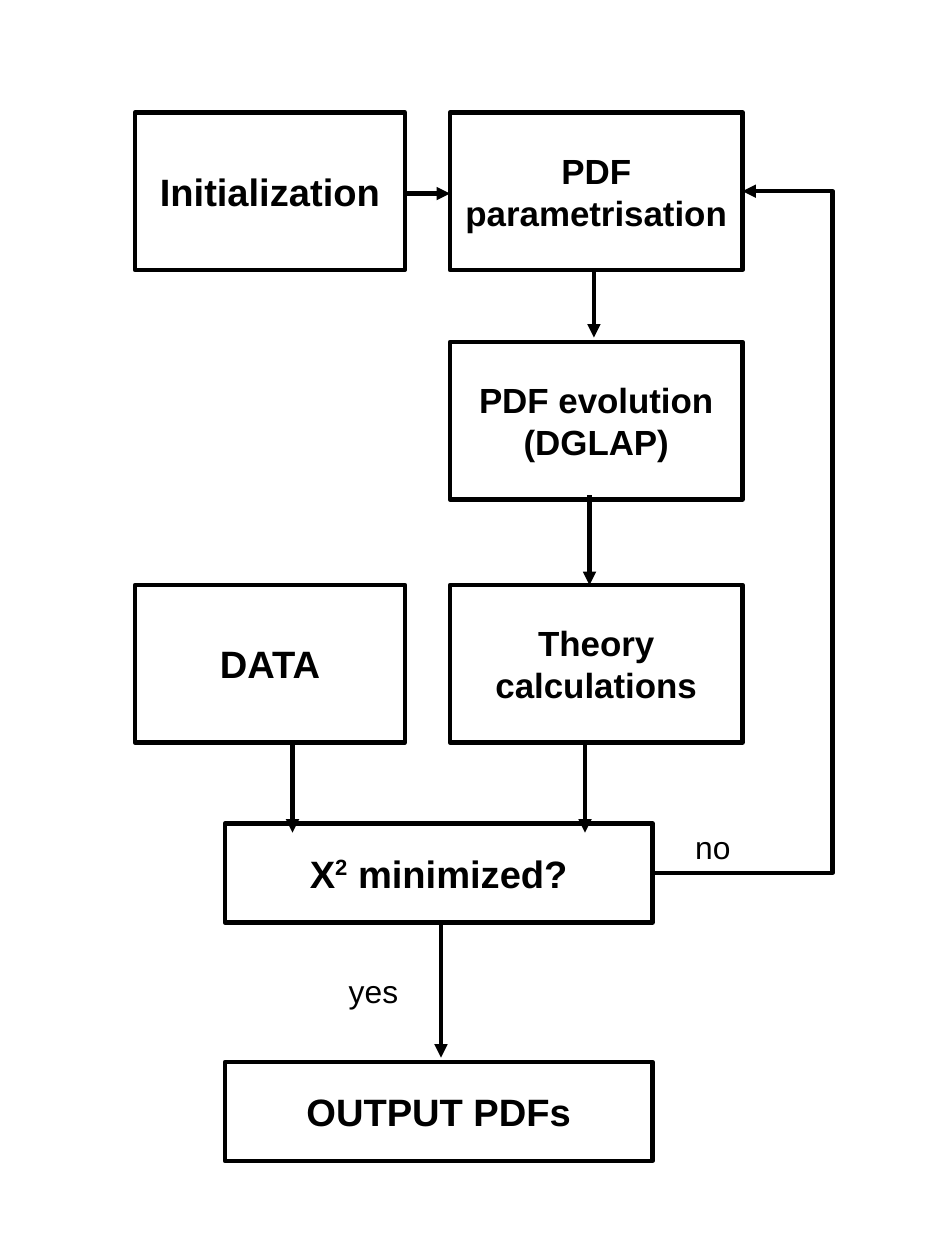
import pptx
import pptx.chart.data
import pptx.dml.color
import pptx.enum.shapes
import pptx.enum.text
import pptx.oxml
import pptx.oxml.ns
import pptx.util

Cm = pptx.util.Cm
Pt = pptx.util.Pt
INK = "000000"


def paint(color, code):
    color.rgb = pptx.dml.color.RGBColor.from_string(code)


def draw(shape, *marks):
    """Give a shape or connector its black line, then the line's extra marks."""
    shape.line.width = Pt(2.83)
    shape.line.fill.solid()
    paint(shape.line.fill.fore_color, INK)
    line = shape.line._get_or_add_ln()
    for mark in ("round", *marks):
        pptx.oxml.ns.qn("a:" + mark)
        node = line.makeelement(pptx.oxml.ns.qn("a:" + mark), {})
        if mark == "tailEnd":
            node.set("type", "triangle")
        line.append(node)


deck = pptx.Presentation()
deck.slide_width, deck.slide_height = Cm(21), Cm(28)
slide = deck.slides.add_slide(deck.slide_layouts[6])
shapes = slide.shapes

# Boxes: left, top, width, height, size, text
boxes = [
    (10, 2.5, 6.5, 3.5, 22, "PDF\nparametrisation"),
    (10, 7.6, 6.5, 3.5, 22, "PDF evolution\n(DGLAP)"),
    (10, 13, 6.5, 3.5, 22, "Theory\ncalculations"),
    (3, 2.5, 6, 3.5, 24, "Initialization"),
    (3, 13, 6, 3.5, 24, "DATA"),
    (5, 18.3, 9.5, 2.2, 24, "Χ|2| minimized?"),
    (5, 23.6, 9.5, 2.2, 24, "OUTPUT PDFs"),
]
for left, top, width, height, size, text in boxes:
    box = shapes.add_shape(
        pptx.enum.shapes.MSO_SHAPE.RECTANGLE,
        Cm(left), Cm(top), Cm(width), Cm(height))
    box.shadow.inherit = False
    box.fill.background()
    draw(box)
    frame = box.text_frame
    frame.word_wrap = False
    frame.vertical_anchor = pptx.enum.text.MSO_ANCHOR.MIDDLE
    frame.margin_left = frame.margin_right = Cm(0.3)
    frame.margin_top = frame.margin_bottom = Cm(0.18)
    base, *parts = text.split("|")
    frame.text = base
    for part in parts:
        frame.paragraphs[0].add_run().text = part
    for para in frame.paragraphs:
        para.alignment = pptx.enum.text.PP_ALIGN.CENTER
        for run in para.runs:
            run.font.name = "Arial"
            run.font.size = Pt(size)
            run.font.bold = True
            paint(run.font.color, INK)
            if run.text == "2":
                run.font._element.set("baseline", "33000")

# Arrows: start x, y, end x, y; the last one loops back
arrows = [
    (9, 4.3, 10, 4.3),
    (13.2, 6, 13.2, 7.5),
    (13.1, 11, 13.1, 13),
    (13, 16.5, 13, 18.5),
    (6.5, 16.5, 6.5, 18.5),
    (9.8, 20.5, 9.8, 23.5),
    (14.5, 19.4, 16.5, 4.25),
]
kinds = pptx.enum.shapes.MSO_CONNECTOR
for ends in arrows:
    loop = ends == arrows[-1]
    arrow = shapes.add_connector(
        kinds.ELBOW if loop else kinds.STRAIGHT, *map(Cm, ends))
    draw(arrow, "tailEnd")
    props = arrow._element.spPr
    props.append(props.makeelement(pptx.oxml.ns.qn("a:effectLst"), {}))
    if loop:
        guides = props.find(".//" + pptx.oxml.ns.qn("a:avLst"))
        guides.append(guides.makeelement(
            pptx.oxml.ns.qn("a:gd"), {"name": "adj1", "fmla": "val 200000"}))

# Branch labels
for left, top, width, text in [(7.5, 21.5, 2, "yes"), (15.2, 18.3, 1.5, "no")]:
    label = shapes.add_textbox(Cm(left), Cm(top), Cm(width), Cm(1.05))
    frame = label.text_frame
    frame.word_wrap = True
    frame.vertical_anchor = pptx.enum.text.MSO_ANCHOR.MIDDLE
    frame.text = text
    font = frame.paragraphs[0].runs[0].font
    font.name = "Arial"
    font.size = Pt(20)
    paint(font.color, INK)

deck.save("out.pptx")
